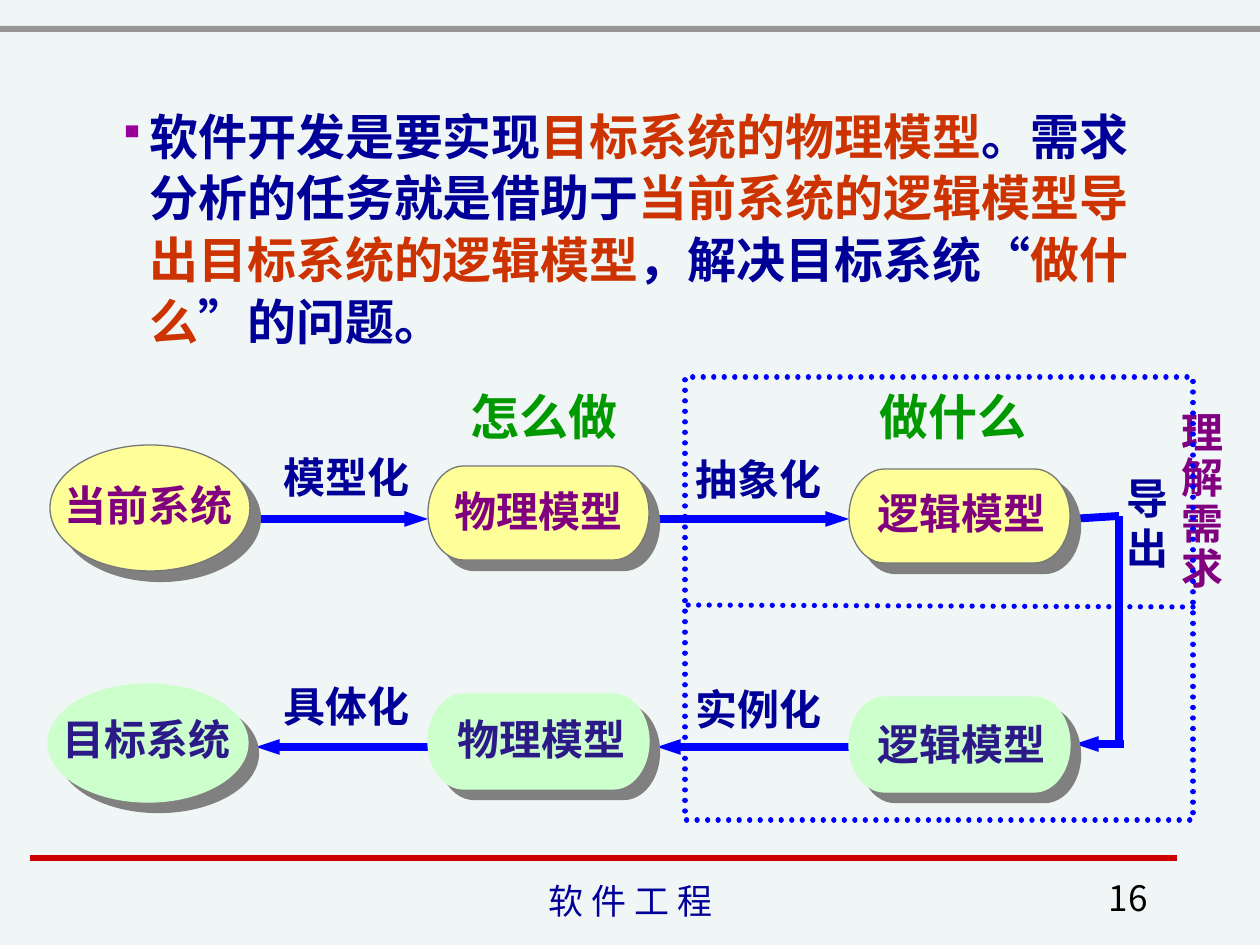
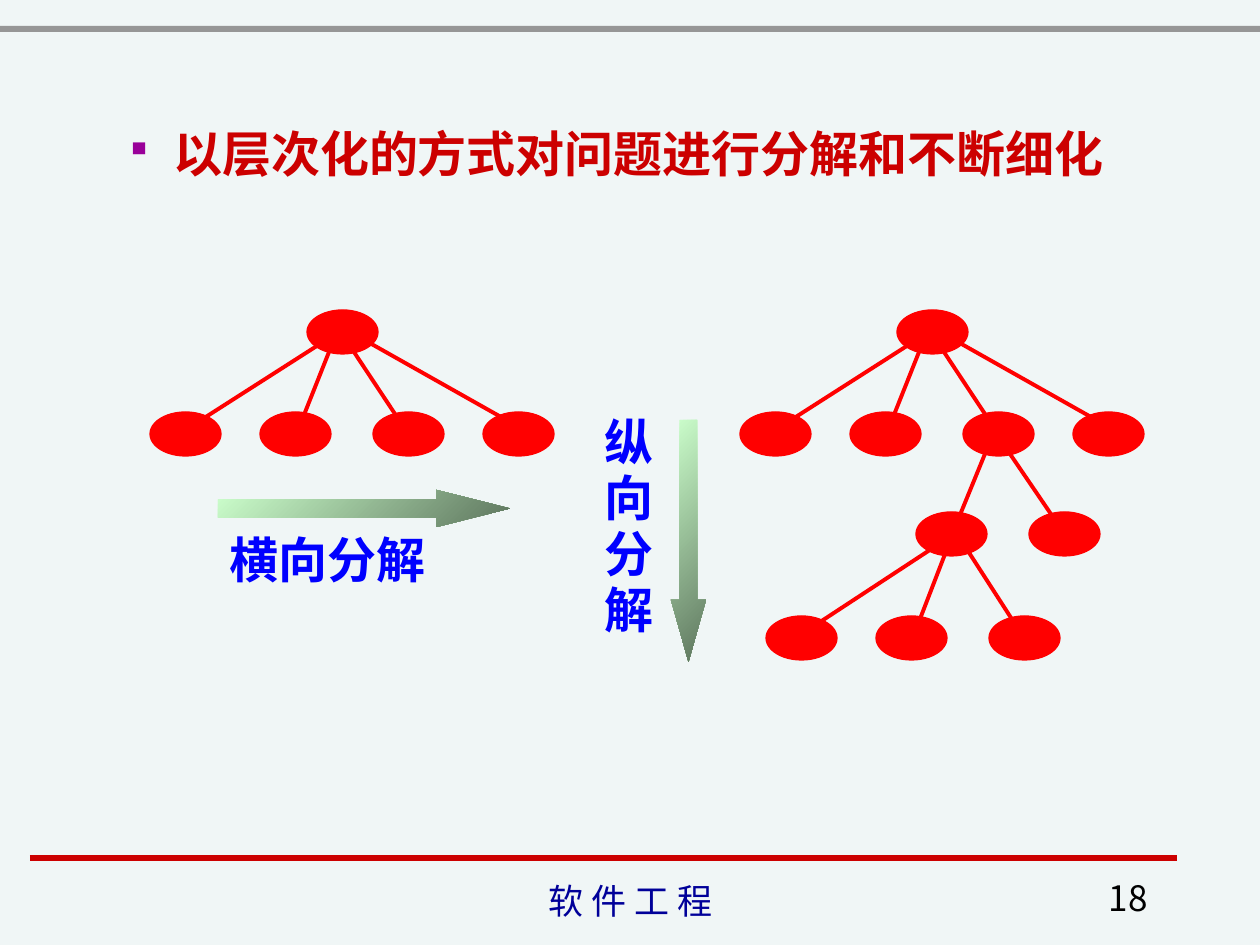
import pptx
import pptx.util
import pptx.dml.color
import pptx.enum.dml
import pptx.enum.lang
import pptx.enum.shapes
import pptx.enum.text
import pptx.oxml.ns
from lxml import etree

RGBColor = pptx.dml.color.RGBColor
MSO_SHAPE = pptx.enum.shapes.MSO_SHAPE
PP_ALIGN = pptx.enum.text.PP_ALIGN
MSO_ANCHOR = pptx.enum.text.MSO_ANCHOR
qn = pptx.oxml.ns.qn

PALE = RGBColor(0xF0, 0xF6, 0xF6)
GREY = RGBColor(0x96, 0x96, 0x96)
OUTLINE = RGBColor(0x77, 0x77, 0x77)
CRIMSON = RGBColor(0xCC, 0x00, 0x00)
NAVY = RGBColor(0x00, 0x00, 0x99)
BLACK = RGBColor(0x00, 0x00, 0x00)
ORANGE = RGBColor(0xCC, 0x33, 0x00)
BLUE = RGBColor(0x00, 0x00, 0xFF)
RED = RGBColor(0xFF, 0x00, 0x00)
GREEN = RGBColor(0x00, 0x99, 0x00)
PURPLE = RGBColor(0x80, 0x00, 0x80)
INDIGO = RGBColor(0x2C, 0x1A, 0x88)
YELLOW = RGBColor(0xFF, 0xFF, 0x99)
MINT = RGBColor(0xCC, 0xFF, 0xCC)
MOSS = RGBColor(0x5E, 0x76, 0x5E)
VIOLET = RGBColor(0x99, 0x00, 0x99)
SHADE = RGBColor(0x80, 0x80, 0x80)

NOTO = "Noto Sans CJK SC"
TIMES = "Times New Roman"
NARROW = "Arial Narrow"

FOOTER = "软 件 工 程"

TASK = [
    ("软件开发是要实现", NAVY), ("目标系统的物理模型", ORANGE),
    ("。需求分析的任务就是借助于", NAVY),
    ("当前系统的逻辑模型导出目标系统的逻辑模型", ORANGE),
    ("，解决目标系统“", NAVY), ("做什么", ORANGE), ("”的问题。", NAVY),
]
REFINE = [("以层次化的方式对问题进行分解和不断细化", CRIMSON)]

OVAL, PILL = MSO_SHAPE.OVAL, MSO_SHAPE.FLOWCHART_TERMINATOR
CURRENT = {"fill": YELLOW, "line": OUTLINE, "color": PURPLE}
TARGET = {"fill": MINT, "line": MINT, "color": INDIGO}
MODELS = [
    ("当前系统", OVAL, (50, 445, 200, 126), (52, 473, 193), CURRENT),
    ("物理模型", PILL, (428, 466, 221, 94), (442, 479, 193), CURRENT),
    ("逻辑模型", PILL, (849, 469, 221, 94), (863, 481, 195), CURRENT),
    ("目标系统", OVAL, (48, 684, 200, 118), (50, 707, 193), TARGET),
    ("物理模型", PILL, (428, 694, 221, 95), (445, 707, 193), TARGET),
    ("逻辑模型", PILL, (849, 697, 221, 95), (863, 712, 195), TARGET),
]
FLOWS = [
    ((261, 519), (428, 519), True), ((649, 519), (849, 519), True),
    ((1070, 519), (1119, 516), False), ((1119, 516), (1119, 745), False),
    ((1124, 744), (1075, 744), True), ((849, 747), (657, 747), True),
    ((428, 747), (256, 747), True),
]
STEPS = [
    ("模型化", 271, 445), ("抽象化", 683, 447),
    ("具体化", 271, 674), ("实例化", 683, 677),
]
QUESTIONS = [("怎么做", 440, 380), ("做什么", 849, 380)]
SCOPE = (685, 377, 508, 443)

NODE_W, NODE_H = 71, 44
LEVEL_Y = [310, 412, 512, 616]
BRANCHES = [
    (-157, (13, 34), (48, 10)), (-47, (24, 37), (44, 3)),
    (66, (45, 39), (26, 8)), (176, (61, 32), (18, 5)),
]
LEAF = (0, {})
WIDE = (0, {0: LEAF, 1: LEAF, 2: LEAF, 3: LEAF})
DEEPEST = (7, {0: LEAF, 1: LEAF, 2: LEAF})
DEEP = (0, {0: LEAF, 1: LEAF, 2: (0, {1: DEEPEST, 2: LEAF}), 3: LEAF})
TREES = [(307, WIDE), (897, DEEP)]
ARROWS = [
    (MSO_SHAPE.DOWN_ARROW, (671, 420, 35, 242), 1.77),
    (MSO_SHAPE.RIGHT_ARROW, (218, 490, 292, 37), 1.98),
]


def px(n):
    return pptx.util.Emu(n * 914400 // 126)


def sub(parent, tag, **attrs):
    return etree.SubElement(parent, qn(tag), attrs)


def add_shape(s, kind, box, fill=None, line=None, width=0.75):
    sp = s.shapes.add_shape(kind, *map(px, box))
    sp.shadow.inherit = False
    if fill is None:
        sp.fill.background()
    else:
        sp.fill.solid()
        sp.fill.fore_color.rgb = fill
    if line is None:
        sp.line.fill.background()
    else:
        sp.line.color.rgb = line
        sp.line.width = pptx.util.Pt(width)
    return sp


def add_line(s, start, end, color, width, arrow=False):
    cn = s.shapes.add_connector(
        pptx.enum.shapes.MSO_CONNECTOR.STRAIGHT, *map(px, start + end))
    cn.line.color.rgb = color
    cn.line.width = pptx.util.Pt(width)
    if arrow:
        sub(cn._element.spPr.find(qn("a:ln")), "a:tailEnd",
            type="triangle", w="sm", len="med")
    sub(cn._element.spPr, "a:effectLst")
    return cn


def drop_shadow(sp):
    effects = sp._element.spPr.find(qn("a:effectLst"))
    shadow = sub(effects, "a:outerShdw", dist="107763", dir="2700000",
                 algn="ctr", rotWithShape="0")
    sub(shadow, "a:srgbClr", val=str(SHADE))


def add_run(p, text, size, color, font, bold):
    r = p.add_run()
    r.text = text
    values = {"size": pptx.util.Pt(size), "name": font, "bold": bold,
              "language_id": pptx.enum.lang.MSO_LANGUAGE_ID.SIMPLIFIED_CHINESE}
    for name, value in values.items():
        setattr(r.font, name, value)
    r.font.color.rgb = color
    sub(r._r.get_or_add_rPr(), "a:ea", typeface=NOTO)


def add_text(s, text, box, color, size=24, font=NOTO, bold=True,
             align=PP_ALIGN.RIGHT, anchor=MSO_ANCHOR.TOP, spacing=None):
    tf = s.shapes.add_textbox(*map(px, box)).text_frame
    tf.word_wrap = False
    tf.vertical_anchor = anchor
    for i, line in enumerate(text.split("\n")):
        p = tf.add_paragraph() if i else tf.paragraphs[0]
        p.alignment = align
        p.line_spacing = spacing
        add_run(p, line, size, color, font, bold)


def add_bullet(s, runs, box, indent, spacing, align):
    tf = s.shapes.add_textbox(*map(px, box)).text_frame
    tf.word_wrap = True
    p = tf.paragraphs[0]
    pPr = p._p.get_or_add_pPr()
    pPr.set("marL", str(px(indent)))
    pPr.set("indent", str(-px(indent)))
    sub(sub(pPr, "a:buClr"), "a:srgbClr", val=str(VIOLET))
    sub(pPr, "a:buSzPct", val="75000")
    sub(pPr, "a:buChar", char="▪")
    p.line_spacing = spacing
    p.alignment = align
    for text, color in runs:
        add_run(p, text, 28, color, TIMES, True)


def add_slide(prs, number):
    s = prs.slides.add_slide(prs.slide_layouts[6])
    s.background.fill.solid()
    s.background.fill.fore_color.rgb = PALE
    add_shape(s, MSO_SHAPE.RECTANGLE, (0, 26, 1260, 6), GREY)
    add_line(s, (30, 858), (1177, 858), CRIMSON, 3)
    plain = {"size": 20, "bold": False, "anchor": MSO_ANCHOR.BOTTOM}
    add_text(s, FOOTER, (431, 879, 399, 49), NAVY, font=NARROW,
             align=PP_ALIGN.CENTER, **plain)
    add_text(s, number, (898, 877, 262, 48), BLACK, **plain)
    return s


def add_tree(s, left, node, level=0):
    shift, children = node
    top = LEVEL_Y[level]
    add_shape(s, OVAL, (left, top, NODE_W, NODE_H), RED, RED)
    for slot, child in children.items():
        dx, (x1, y1), (x2, y2) = BRANCHES[slot]
        origin = left + shift
        child_left = origin + dx
        add_line(s, (origin + x1, top + y1),
                 (child_left + x2, LEVEL_Y[level + 1] + y2), RED, 2.25)
        add_tree(s, child_left, child, level + 1)


def build_models(prs):
    s = add_slide(prs, "16")
    add_bullet(s, TASK, (106, 97, 1050, 275), 31, 1.05, PP_ALIGN.LEFT)
    for start, end, arrow in FLOWS:
        add_line(s, start, end, BLUE, 4.5, arrow)
    for text, kind, box, (x, y, w), style in MODELS:
        drop_shadow(add_shape(s, kind, box, style["fill"], style["line"]))
        add_text(s, text, (x, y, w, 63), style["color"])
    for text, x, y in STEPS:
        add_text(s, text, (x, y, 151, 63), NAVY)
    for text, x, y in QUESTIONS:
        add_text(s, text, (x, y, 190, 72), GREEN, 28)
    add_text(s, "理\n解\n需\n求", (1169, 406, 67, 194), PURPLE, spacing=0.9)
    add_text(s, "导\n出", (1114, 466, 67, 113), NAVY)
    frame = add_shape(s, MSO_SHAPE.RECTANGLE, SCOPE, None, BLUE, 3)
    divider = add_line(s, (1193, 607), (685, 605), BLUE, 3)
    for sp in (frame, divider):
        sp.line.dash_style = pptx.enum.dml.MSO_LINE.ROUND_DOT
        sp._element.spPr.find(qn("a:ln")).set("cap", "rnd")


def build_decomposition(prs):
    s = add_slide(prs, "18")
    add_bullet(s, REFINE, (113, 111, 1047, 101), 48, 1.1, PP_ALIGN.JUSTIFY)
    for left, tree in TREES:
        add_tree(s, left, tree)
    for kind, box, head in ARROWS:
        sp = add_shape(s, kind, box)
        sp.adjustments[1] = head
        sp.fill.gradient()
        sp.fill.gradient_angle = 315
        for stop, color, position in zip(sp.fill.gradient_stops, (MINT, MOSS), (0, 1)):
            stop.color.rgb = color
            stop.position = position
    add_text(s, "纵\n向\n分\n解", (592, 410, 74, 237), BLUE, 28, TIMES, spacing=0.95)
    add_text(s, "横向分解", (217, 523, 221, 72), BLUE, 28, TIMES)


def main():
    prs = pptx.Presentation()
    prs.slide_width, prs.slide_height = px(1260), px(945)
    build_models(prs)
    build_decomposition(prs)
    prs.save("out.pptx")


if __name__ == "__main__":
    main()
